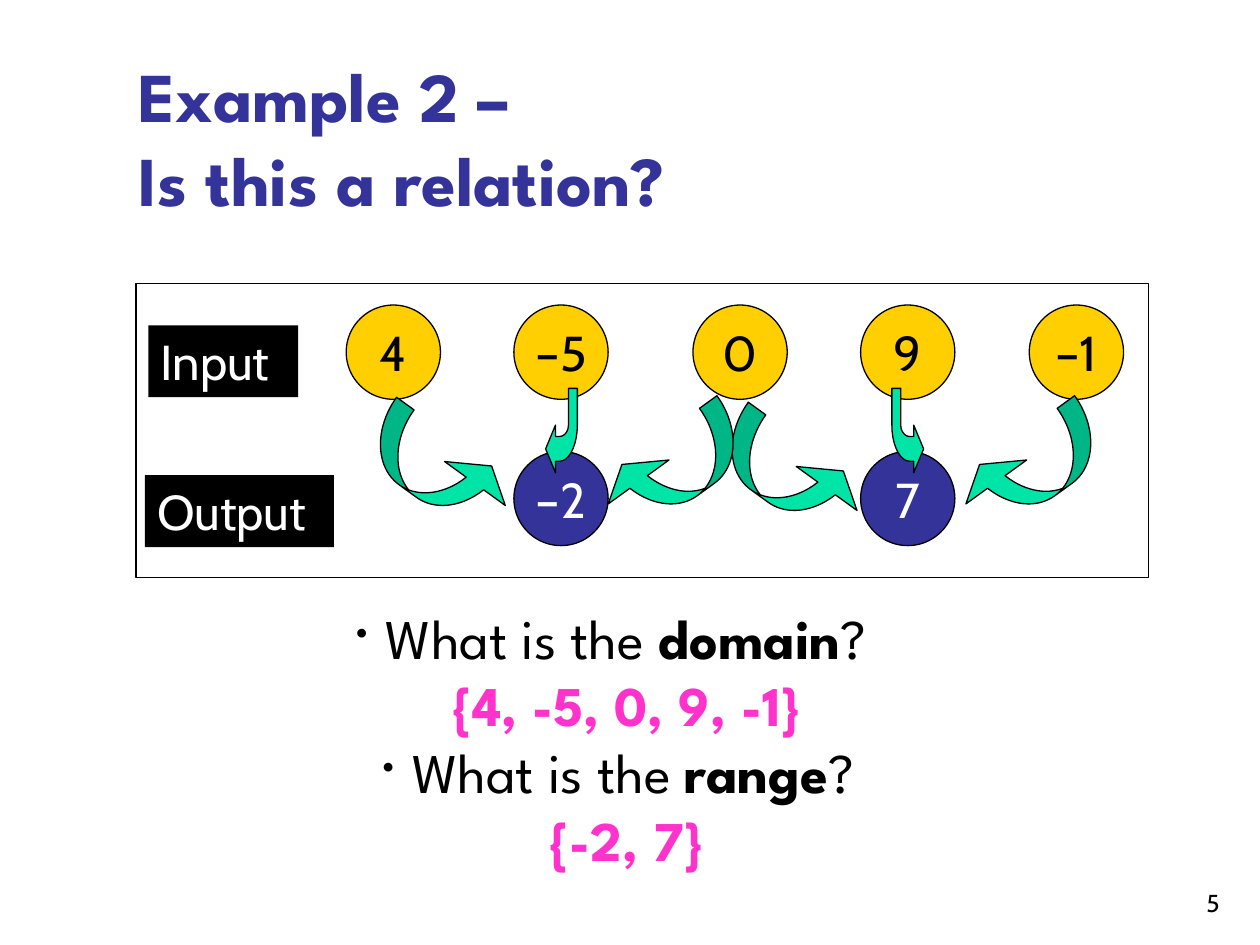
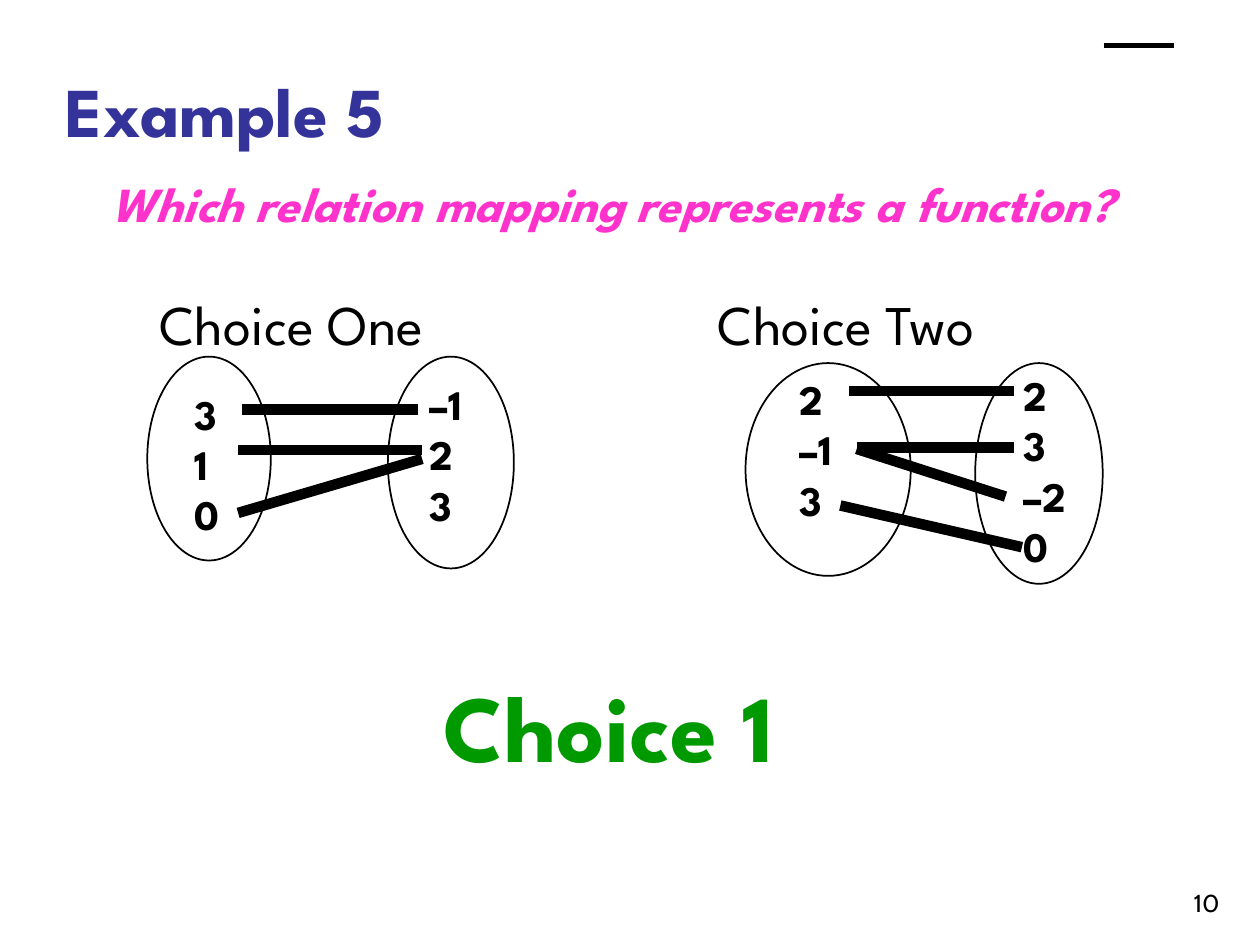
import math
from pptx import Presentation
from pptx.dml.color import RGBColor
from pptx.enum import shapes, text
from pptx.oxml.ns import qn
from pptx.util import Cm, Pt
from lxml import etree

HEAD, BODY = "League Spartan", "Cabin"
BLACK, WHITE = "000000", "FFFFFF"
NAVY, PINK, GOLD, MINT, GREEN = "333399", "FF33CC", "FFCF01", "00E4A8", "009900"
KIND, ALIGN, ANCHOR = shapes.MSO_SHAPE, text.PP_ALIGN, text.MSO_ANCHOR


def color(code):
    return RGBColor.from_string(code)


def bullet(para):
    props = para._p.get_or_add_pPr()
    tint = etree.SubElement(props, qn("a:buClr"))
    etree.SubElement(tint, qn("a:srgbClr"), val=BLACK)
    etree.SubElement(props, qn("a:buSzPct"), val="60000")
    etree.SubElement(props, qn("a:buChar"), char="•")


def write(shape, paras, size=28, font=HEAD, tint=BLACK, bold=False, italic=False,
          align=ALIGN.LEFT, anchor=ANCHOR.TOP, wrap=False, grow=False):
    """Fill a shape; a paragraph is a string or a list of (text, changes) runs."""
    frame = shape.text_frame
    frame.word_wrap = wrap
    fit = text.MSO_AUTO_SIZE
    frame.auto_size = fit.SHAPE_TO_FIT_TEXT if grow else fit.NONE
    frame.vertical_anchor = anchor
    for i, runs in enumerate([paras] if isinstance(paras, str) else paras):
        para = frame.add_paragraph() if i else frame.paragraphs[0]
        para.alignment = align
        if isinstance(runs, str):
            runs = [(runs, {})]
        for words, look in runs:
            if look.get("dot"):
                bullet(para)
            for j, line in enumerate(words.split("\n")):
                if j:
                    para.add_line_break()
                run = para.add_run()
                run.text = line
                run.font.name, run.font.size = font, Pt(size)
                run.font.bold = look.get("bold", bold)
                run.font.italic = italic
                run.font.color.rgb = color(look.get("tint", tint))


def label(slide, box, words, **look):
    area = slide.shapes.add_textbox(*map(Cm, box))
    write(area, words, **look)


def paint(shape, fill, edge=0.75):
    shape.shadow.inherit = False
    shape.fill.solid()
    shape.fill.fore_color.rgb = color(fill)
    if edge:
        shape.line.color.rgb = color(BLACK)
        shape.line.width = Pt(edge)
    else:
        shape.line.fill.background()
    return shape


def draw(slide, kind, box, fill, edge=0.75):
    return paint(slide.shapes.add_shape(kind, *map(Cm, box)), fill, edge)


def stroke(slide, ends, width):
    line = slide.shapes.add_connector(shapes.MSO_CONNECTOR.STRAIGHT, *map(Cm, ends))
    line.line.color.rgb = color(BLACK)
    line.line.width = Pt(width)
    etree.SubElement(line._element.spPr, qn("a:effectLst"))


def start(deck, title, box, number):
    """Add a slide with its title and page number."""
    slide = deck.slides.add_slide(deck.slide_layouts[5])
    head = slide.shapes.title
    head.left, head.top, head.width, head.height = map(Cm, box)
    write(head, title, size=40, tint=NAVY, bold=True, anchor=ANCHOR.BOTTOM, wrap=True)
    label(slide, (19.56, 17.35, 5.28, 1.27), number, size=14, font=BODY,
          align=ALIGN.RIGHT, anchor=ANCHOR.BOTTOM, wrap=True)
    return slide


# Input and output diagram
def curl(slide, x, y, kind, turn):
    arrow = draw(slide, kind, (x, y, 1.4, 3.12), MINT)
    arrow.rotation = turn
    for i, value in enumerate((0.31, 1.08, 0.345)):
        arrow.adjustments[i] = value


def arc(rx, ry, angles):
    """Points of a quarter turn around the bend of a hook."""
    turns = map(math.radians, angles)
    return [(0.28 + rx * math.cos(t), 0.74 + ry * math.sin(t)) for t in turns]


def hook(slide, x, y, flip):
    wide = 0.64
    points = [(0, 1.22), (0.2, 1.7), (0.2, 1.47), *arc(0.36, 0.73, range(90, -1, -10)),
              (wide, 0), (0.46, 0), *arc(0.18, 0.23, range(0, 91, 10)),
              (0.2, 0.97), (0.2, 0.74)]
    spots = [(Cm(x + (wide - px if flip else px)), Cm(y + py)) for px, py in points]
    build = slide.shapes.build_freeform(*spots[0])
    build.add_line_segments(spots[1:], close=True)
    paint(build.convert_to_shape(), MINT)


def flow(slide, x, y, wide, high):
    draw(slide, KIND.RECTANGLE, (x, y, wide, high), WHITE)
    for words, dx, dy, w in (("Input", 0.25, 0.84, 3.02), ("Output", 0.18, 3.86, 3.81)):
        tag = draw(slide, KIND.RECTANGLE, (x + dx, y + dy, w, 1.45), BLACK, 0)
        write(tag, words, font=BODY, tint=WHITE, grow=True)
    ins = (("4", 4.24), ("–5", 7.62), ("0", 11.23), ("9", 14.61), ("–1", 18.01))
    outs = (("–2", 7.62), ("7", 14.61))
    for row, dy, fill, tint in ((ins, 0.43, GOLD, BLACK), (outs, 3.38, NAVY, WHITE)):
        for value, dx in row:
            ball = draw(slide, KIND.OVAL, (x + dx, y + dy, 1.9, 1.9), fill)
            write(ball, value, font=BODY, tint=tint, align=ALIGN.CENTER,
                  anchor=ANCHOR.MIDDLE)
    for dx, dy in ((5.41, 2.21), (12.5, 2.31)):
        curl(slide, x + dx, y + dy, KIND.CURVED_RIGHT_ARROW, 305.9)
    for dx in (17.37, 10.16):
        curl(slide, x + dx, y + 2.18, KIND.CURVED_LEFT_ARROW, 54.1)
    for dx, flip in ((8.26, False), (15.24, True)):
        hook(slide, x + dx, y + 2.11, flip)


def relation(deck):
    slide = start(deck, "Example 2 –\nIs this a relation?", (2.54, 0.84, 21.64, 3.73), "5")
    strong, answer = {"bold": True}, {"bold": True, "tint": PINK}
    ask = ("What is the ", {"dot": True})
    label(slide, (6.6, 12.04, 12.09, 5.69),
          [[ask, ("domain", strong), ("? ", {})], [("{4, -5, 0, 9, -1}", answer)],
           [ask, ("range", strong), ("?", {})], [("{-2, 7}", answer)]],
          size=32, align=ALIGN.CENTER, grow=True)
    flow(slide, 2.74, 5.72, 20.42, 5.92)


# Mapping of one set of numbers onto another
def mapping(slide, x, y, name, ovals, links, lists):
    label(slide, (x, y, 7.5, 1.6), name, size=32)
    for dx, dy, w, h in ovals:
        draw(slide, KIND.OVAL, (x + dx, y + dy, w, h), WHITE, 1)
    for x1, y1, x2, y2 in links:
        stroke(slide, (x + x1, y + y1, x + x2, y + y2), 6)
    for dx, dy, w, values in lists:
        label(slide, (x + dx, y + dy, w, 0.25 + 1.02 * len(values)), values,
              size=24, bold=True, grow=True)


def choices(deck):
    slide = start(deck, "Example 5", (1.07, 1.07, 21.64, 2.11), "10")
    mapping(slide, 2.97, 5.72, "Choice One",
            ovals=[(0, 1.47, 2.49, 4.11), (4.85, 1.47, 2.54, 4.27)],
            links=[(1.9, 2.54, 5.46, 2.54), (1.83, 3.35, 5.54, 3.35),
                   (1.83, 4.62, 5.54, 3.53)],
            lists=[(0.71, 1.98, 0.99, ["3", "1", "0"]),
                   (5.44, 1.78, 1.42, ["–1", "2", "3"])])
    mapping(slide, 14.22, 5.72, "Choice Two",
            ovals=[(0.81, 1.6, 3.33, 4.29), (5.44, 1.6, 2.57, 4.45)],
            links=[(2.9, 2.16, 6.22, 2.16), (3.05, 3.3, 6.22, 3.3),
                   (3.05, 3.33, 6.05, 4.29), (2.72, 4.47, 6.38, 5.31)],
            lists=[(1.65, 1.68, 1.42, ["2", "–1", "3"]),
                   (6.17, 1.6, 1.42, ["2", "3", "–2", "0"])])
    label(slide, (1.7, 3.38, 21.26, 2.64), "Which relation mapping represents a function?",
          tint=PINK, bold=True, italic=True, align=ALIGN.CENTER, wrap=True)
    stroke(slide, (22.25, 0.91, 23.67, 0.91), 3)
    label(slide, (6.55, 13.34, 11.43, 3.38), "Choice 1", size=54, tint=GREEN,
          bold=True, align=ALIGN.CENTER, wrap=True)


def main():
    deck = Presentation()
    deck.slide_width, deck.slide_height = Cm(25.4), Cm(19.05)
    relation(deck)
    choices(deck)
    deck.save("out.pptx")


if __name__ == "__main__":
    main()
